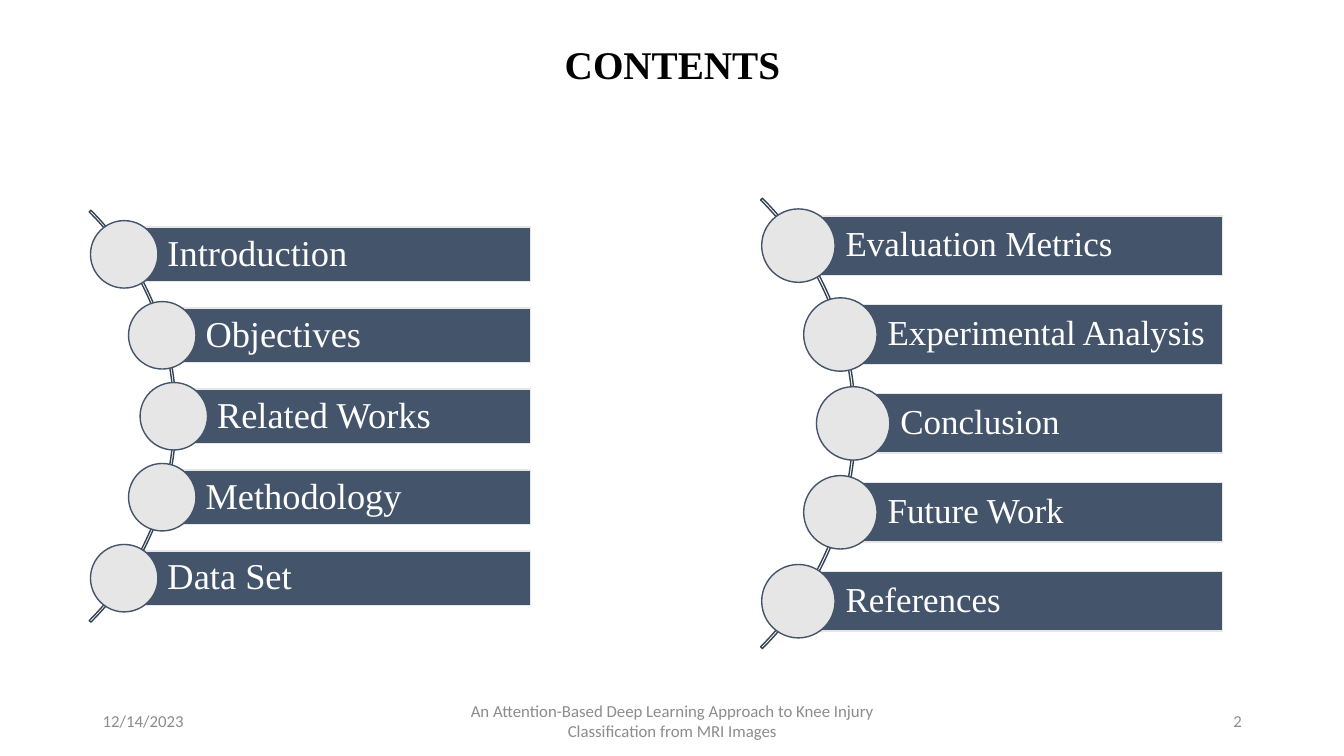
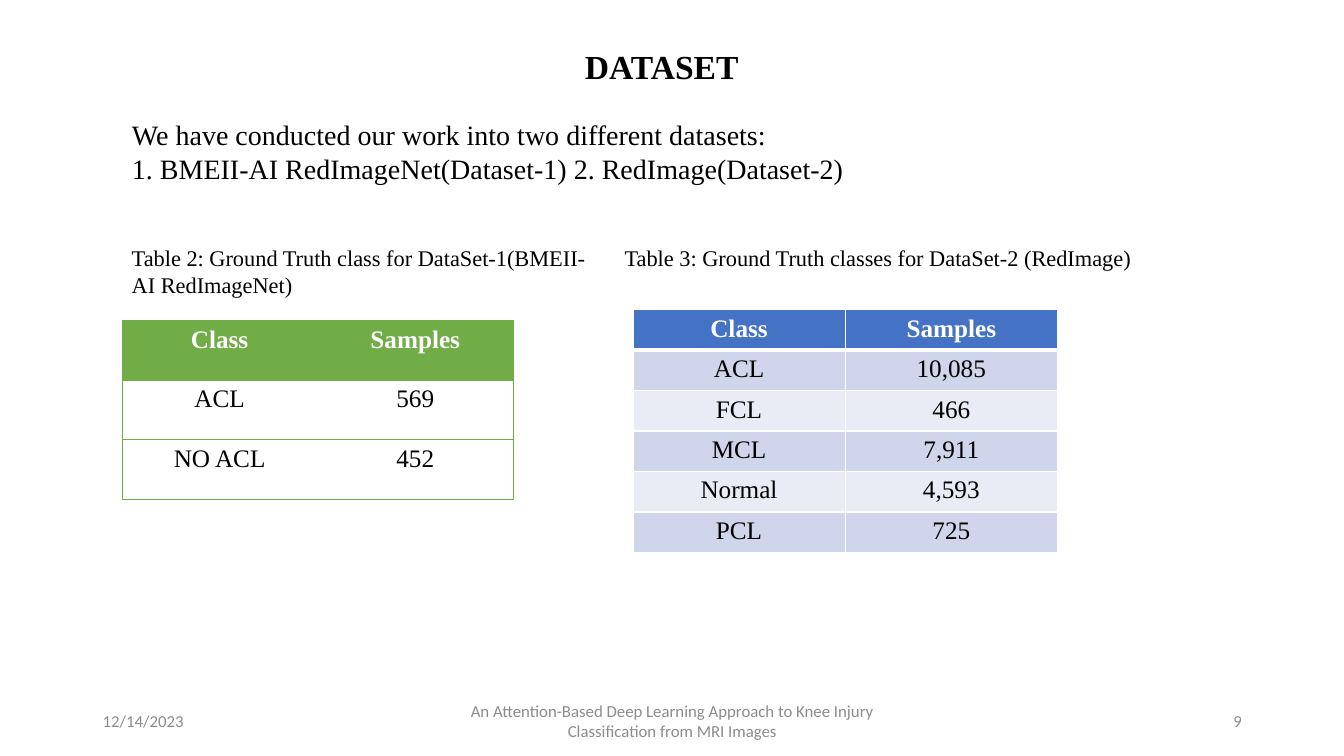
from math import sqrt

from lxml.etree import SubElement
from pptx import Presentation
from pptx.dml.color import RGBColor
from pptx.enum.shapes import MSO_SHAPE as SHAPE
from pptx.enum.text import MSO_ANCHOR as ANCHOR, MSO_AUTO_SIZE as AUTO_SIZE, PP_ALIGN as ALIGN
from pptx.oxml.ns import qn
from pptx.util import Cm, Pt

BLACK = RGBColor(0x00, 0x00, 0x00)
WHITE = RGBColor(0xFF, 0xFF, 0xFF)
GREY = RGBColor(0x8C, 0x8C, 0x8C)
SLATE = RGBColor(0x44, 0x54, 0x6A)
DARK_SLATE = RGBColor(0x36, 0x43, 0x55)
SILVER = RGBColor(0xE7, 0xE6, 0xE6)
GREEN = RGBColor(0x70, 0xAD, 0x47)
BLUE = RGBColor(0x44, 0x72, 0xC4)
BAND_DARK = RGBColor(0xCF, 0xD5, 0xEA)
BAND_LIGHT = RGBColor(0xE9, 0xEB, 0xF5)
SERIF = "Times New Roman"
FOOTER = "An Attention-Based Deep Learning Approach to Knee Injury Classification from MRI Images"


def write(frame, text, size, color=BLACK, align=ALIGN.LEFT, bold=False, name=SERIF, spacing=1.0):
    frame.text = text
    frame.word_wrap = True
    font_format = {"size": Pt(size), "bold": bold, "name": name}
    for paragraph in frame.paragraphs:
        paragraph.alignment = align
        paragraph.line_spacing = spacing
        paragraph.space_before = Pt(0)
        for attribute, value in font_format.items():
            setattr(paragraph.font, attribute, value)
        paragraph.font.color.rgb = color


def border(cell, side, color, points):
    line = SubElement(cell._tc.get_or_add_tcPr(), qn(f"a:ln{side}"), w=str(Pt(points)))
    if color is None:
        SubElement(line, qn("a:noFill"))
    else:
        fill = SubElement(line, qn("a:solidFill"))
        SubElement(fill, qn("a:srgbClr"), val=str(color))


deck = Presentation()
deck.slide_width, deck.slide_height = Cm(33.87), Cm(19.05)
contents = deck.slides.add_slide(deck.slide_layouts[5])
dataset = deck.slides.add_slide(deck.slide_layouts[1])

# Titles and footers
for slide, heading, size, left, width, height, spacing, page in (
    (contents, "CONTENTS", 28, 2.34, 29.21, 1.42, 0.9, "2"),
    (dataset, "DATASET", 24, 10.72, 11.91, 1.27, 1.0, "9"),
):
    title = slide.shapes.title
    title.left, title.top, title.width, title.height = Cm(left), Cm(1.02), Cm(width), Cm(height)
    write(title.text_frame, heading, size, align=ALIGN.CENTER, bold=True, spacing=spacing)
    title.text_frame.vertical_anchor = ANCHOR.TOP
    title.text_frame.auto_size = AUTO_SIZE.NONE
    for text, x, w, align in (
        ("12/14/2023", 2.34, 7.62, ALIGN.LEFT),
        (FOOTER, 11.23, 11.43, ALIGN.CENTER),
        (page, 23.93, 7.62, ALIGN.RIGHT),
    ):
        footer = slide.shapes.add_textbox(Cm(x), Cm(17.65), Cm(w), Cm(1.02)).text_frame
        write(footer, text, 12, GREY, align, name="Calibri")
        footer.vertical_anchor = ANCHOR.MIDDLE

# Contents: topics strung along two arcs
TOPIC_LISTS = (
    {"topics": ("Introduction", "Objectives", "Related Works", "Methodology", "Data Set"),
     "center": (-2.9, 10.49), "diameter": 14.68, "step": 2.04, "bar": 1.37, "dot": 1.7,
     "right": 13.37, "inset": 1.09, "size": 26},
    {"topics": ("Evaluation Metrics", "Experimental Analysis", "Conclusion", "Future Work", "References"),
     "center": (13.54, 10.67), "diameter": 16.05, "step": 2.24, "bar": 1.5, "dot": 1.85,
     "right": 30.81, "inset": 1.19, "size": 25},
)
for group in TOPIC_LISTS:
    center_x, center_y = group["center"]
    diameter, bar_height, dot_size = group["diameter"], group["bar"], group["dot"]
    arc = contents.shapes.add_shape(
        SHAPE.BLOCK_ARC, Cm(center_x - diameter / 2), Cm(center_y - diameter / 2),
        Cm(diameter), Cm(diameter))
    for index, value in enumerate((189, 27, 0.004)):
        arc.adjustments[index] = value
    arc.fill.background()
    arc.line.color.rgb = DARK_SLATE
    arc.line.width = Pt(1)
    arc.shadow.inherit = False

    track = diameter / 2 * 0.992
    for index, topic in enumerate(group["topics"]):
        offset = (index - 2) * group["step"]
        x, y = center_x + sqrt(track ** 2 - offset ** 2), center_y + offset
        bar = contents.shapes.add_shape(
            SHAPE.RECTANGLE, Cm(x), Cm(y - bar_height / 2), Cm(group["right"] - x), Cm(bar_height))
        dot = contents.shapes.add_shape(
            SHAPE.OVAL, Cm(x - dot_size / 2), Cm(y - dot_size / 2), Cm(dot_size), Cm(dot_size))
        for part, fill, line in ((bar, SLATE, SILVER), (dot, SILVER, SLATE)):
            part.fill.solid()
            part.fill.fore_color.rgb = fill
            part.line.color.rgb = line
            part.line.width = Pt(1)
            part.shadow.inherit = False
        label = bar.text_frame
        write(label, topic, group["size"], WHITE, spacing=0.9)
        label.vertical_anchor = ANCHOR.MIDDLE
        label.margin_left = Cm(group["inset"])
        label.margin_right = label.margin_top = label.margin_bottom = Cm(0.18)

# Dataset: introduction
intro = dataset.placeholders[1]
intro.left, intro.top, intro.width, intro.height = Cm(3.07), Cm(2.84), Cm(23.57), Cm(1.96)
intro.text_frame.text = ("We have conducted our work into two different datasets:\n"
                         "1. BMEII-AI RedImageNet(Dataset-1) 2. RedImage(Dataset-2)")
intro_text = intro.text_frame.text
for paragraph in intro.text_frame.paragraphs:
    properties = paragraph._p.get_or_add_pPr()
    properties.set("marL", "0")
    properties.set("indent", "0")
    SubElement(properties, qn("a:buNone"))
    paragraph.space_before = Pt(0)
    paragraph.font.size = Pt(20)
    paragraph.font.name = SERIF
    paragraph.font.color.rgb = BLACK
intro.text_frame.auto_size = AUTO_SIZE.NONE

# Dataset: captions
for caption, x, w, h in (
    ("Table 2: Ground Truth class for DataSet-1(BMEII-AI RedImageNet)", 3.07, 12.45, 1.63),
    ("Table 3: Ground Truth classes for DataSet-2 (RedImage)", 15.49, 13.39, 0.94),
):
    box = dataset.shapes.add_textbox(Cm(x), Cm(6.02), Cm(w), Cm(h))
    write(box.text_frame, caption, 16)

# Dataset: sample counts; no bands means an outlined table without inner verticals
HEADER = ("Class", "Samples")
SAMPLE_TABLES = (
    {"rows": (HEADER, ("ACL", "569"), ("NO ACL", "452")),
     "place": (3.07, 8.08, 9.86), "row_height": 1.5, "header": GREEN, "bands": None},
    {"rows": (HEADER, ("ACL", "10,085"), ("FCL", "466"), ("MCL", "7,911"),
              ("Normal", "4,593"), ("PCL", "725")),
     "place": (15.95, 7.8, 10.7), "row_height": 1.02, "header": BLUE,
     "bands": (BAND_DARK, BAND_LIGHT)},
)
for group in SAMPLE_TABLES:
    rows, bands = group["rows"], group["bands"]
    x, y, width = group["place"]
    samples = dataset.shapes.add_table(
        len(rows), len(HEADER), Cm(x), Cm(y), Cm(width), Cm(group["row_height"] * len(rows))).table
    samples.horz_banding = False
    for r, row in enumerate(rows):
        for c, text in enumerate(row):
            cell = samples.cell(r, c)
            write(cell.text_frame, text, 18, BLACK if r else WHITE, ALIGN.CENTER, bold=r == 0)
            inner_side = "R" if c == 0 else "L"
            for side in "LRTB":
                if bands is None:
                    border(cell, side, None if side == inner_side else GREEN, 0.5)
                else:
                    under_header = (r, side) in ((0, "B"), (1, "T"))
                    border(cell, side, WHITE, 3 if under_header else 1)
            if r and bands is None:
                cell.fill.background()
            else:
                cell.fill.solid()
                cell.fill.fore_color.rgb = bands[(r - 1) % 2] if r else group["header"]

deck.save("out.pptx")
